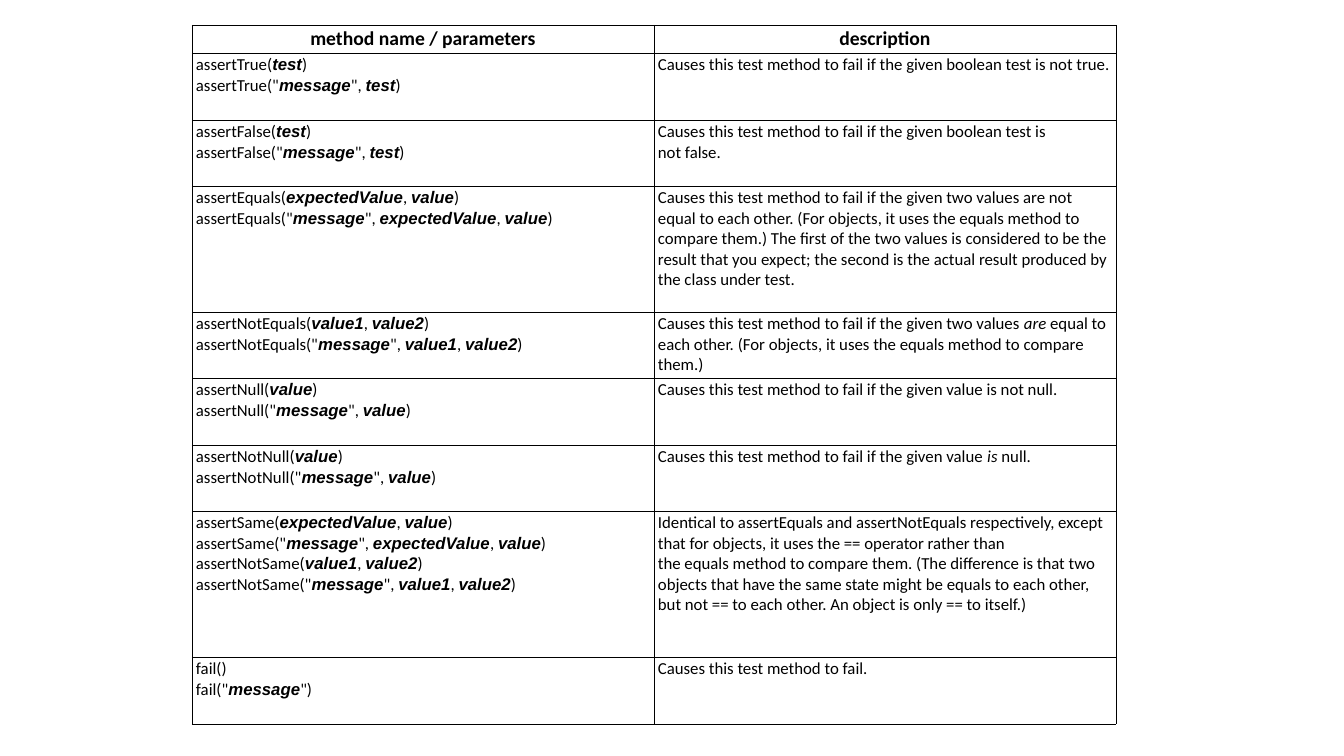
from dataclasses import dataclass

from lxml import etree
from pptx import Presentation
from pptx.dml.color import RGBColor
from pptx.enum.text import MSO_ANCHOR, PP_ALIGN
from pptx.oxml.ns import qn
from pptx.util import Emu, Pt

LEFT, CENTER = PP_ALIGN.LEFT, PP_ALIGN.CENTER
TOP = MSO_ANCHOR.TOP
PX = 914400 / 100.8
TIE = "~"  # keeps two words on one line
NO_BREAK_SPACE = chr(160)


@dataclass(frozen=True)
class Theme:
    ink: str = "000000"
    body_font: str = "Calibri"
    parameter_font: str = "Arial"
    header_size: int = 14
    body_size: int = 12
    border: float = 0.38


@dataclass(frozen=True)
class Call:
    method: str
    parameters: tuple[str, ...] = ()


@dataclass(frozen=True)
class Assertion:
    height: int
    calls: tuple[Call, ...]
    description: str  # every second part between asterisks is italic


THEME = Theme()
TABLE_LEFT, TABLE_TOP = 192, 25
COLUMN_WIDTH, HEADER_HEIGHT = 462, 28
MARGINS = {"margin_left": 4, "margin_right": 4, "margin_top": 2, "margin_bottom": 2}
HEADINGS = ("method name / parameters", "description")
EXPECTED = ("expectedValue", "value")
PAIR = ("value1", "value2")

ASSERTIONS = (
    Assertion(67, (Call("assertTrue", ("test",)),),
              "Causes this test method to fail if the given~boolean~test is not~true."),
    Assertion(66, (Call("assertFalse", ("test",)),),
              "Causes this test method to fail if the given~boolean~test is not~false."),
    Assertion(126, (Call("assertEquals", EXPECTED),),
              "Causes this test method to fail if the given two values are not equal to each "
              "other. (For objects, it uses the~equals~method to compare them.) The first of "
              "the two values is considered to be the result that you expect; the second is "
              "the actual result produced by the class under test."),
    Assertion(66, (Call("assertNotEquals", PAIR),),
              "Causes this test method to fail if the given two values~*are*~equal to each "
              "other. (For objects, it uses the~equals~method to compare them.)"),
    Assertion(67, (Call("assertNull", ("value",)),),
              "Causes this test method to fail if the given value is not~null."),
    Assertion(66, (Call("assertNotNull", ("value",)),),
              "Causes this test method to fail if the given value~*is*~null."),
    Assertion(146, (Call("assertSame", EXPECTED), Call("assertNotSame", PAIR)),
              "Identical to~assertEquals~and~assertNotEquals~respectively, except that for "
              "objects, it uses the~==~operator rather than the~equals~method to compare "
              "them. (The difference is that two objects that have the same state might "
              "be~equals~to each other, but not~==~to each other. An object is only~==~to "
              "itself.)"),
    Assertion(67, (Call("fail"),), "Causes this test method to fail."),
)


def px(length: int) -> Emu:
    return Emu(round(length * PX))


def add_run(paragraph, text: str, **formats) -> None:
    run = paragraph.add_run()
    run.text = text.replace(TIE, NO_BREAK_SPACE)
    values = {"name": THEME.body_font, "size": Pt(THEME.body_size),
              "bold": False, "italic": False} | formats
    for attribute, value in values.items():
        setattr(run.font, attribute, value)
    run.font.color.rgb = RGBColor.from_string(THEME.ink)


def add_border(cell) -> None:
    properties = cell._tc.get_or_add_tcPr()
    for position, side in enumerate(("a:lnL", "a:lnR", "a:lnT", "a:lnB")):
        line = etree.Element(qn(side), w=str(Pt(THEME.border)))
        fill = etree.SubElement(line, qn("a:solidFill"))
        etree.SubElement(fill, qn("a:srgbClr"), val=THEME.ink)
        properties.insert(position, line)


def prepare_cell(cell, alignment: PP_ALIGN = LEFT):
    for margin, length in MARGINS.items():
        setattr(cell, margin, px(length))
    cell.vertical_anchor = TOP
    cell.fill.background()
    add_border(cell)
    paragraph = cell.text_frame.paragraphs[0]
    paragraph.alignment = alignment
    return paragraph


def write_signature(paragraph, method: str, pieces: list[str]) -> None:
    """Write a call whose pieces alternate between punctuation and parameters."""
    add_run(paragraph, f"{method}({pieces[0]}")
    for index, piece in enumerate(pieces[1:]):
        if index % 2 == 0:
            add_run(paragraph, piece, name=THEME.parameter_font, bold=True, italic=True)
        else:
            add_run(paragraph, piece)


def write_calls(paragraph, calls: tuple[Call, ...]) -> None:
    first = True
    for call in calls:
        for with_message in (False, True):
            if not first:
                paragraph.add_line_break()
            first = False
            pieces = ['"', "message", '"'] if with_message else [""]
            for index, parameter in enumerate(call.parameters):
                if with_message or index:
                    pieces[-1] += ",~"
                pieces += [parameter, ""]
            pieces[-1] += ")"
            write_signature(paragraph, call.method, pieces)


def write_description(paragraph, description: str) -> None:
    for index, part in enumerate(description.split("*")):
        add_run(paragraph, part, italic=index % 2 == 1)


def main() -> None:
    presentation = Presentation()
    presentation.slide_width, presentation.slide_height = px(1344), px(756)
    slide = presentation.slides.add_slide(presentation.slide_layouts[6])

    # Table grid
    heights = [HEADER_HEIGHT] + [assertion.height for assertion in ASSERTIONS]
    methods = slide.shapes.add_table(
        len(heights), len(HEADINGS), px(TABLE_LEFT), px(TABLE_TOP),
        px(COLUMN_WIDTH * len(HEADINGS)), px(sum(heights))).table
    methods.horz_banding = False
    methods.first_row = False
    for column in methods.columns:
        column.width = px(COLUMN_WIDTH)
    for row, height in zip(methods.rows, heights):
        row.height = px(height)

    # Header row
    for column, heading in enumerate(HEADINGS):
        add_run(prepare_cell(methods.cell(0, column), CENTER), heading,
                size=Pt(THEME.header_size), bold=True)

    # Assertion rows
    for row, assertion in enumerate(ASSERTIONS, start=1):
        write_calls(prepare_cell(methods.cell(row, 0)), assertion.calls)
        write_description(prepare_cell(methods.cell(row, 1)), assertion.description)

    presentation.save("out.pptx")


if __name__ == "__main__":
    main()
